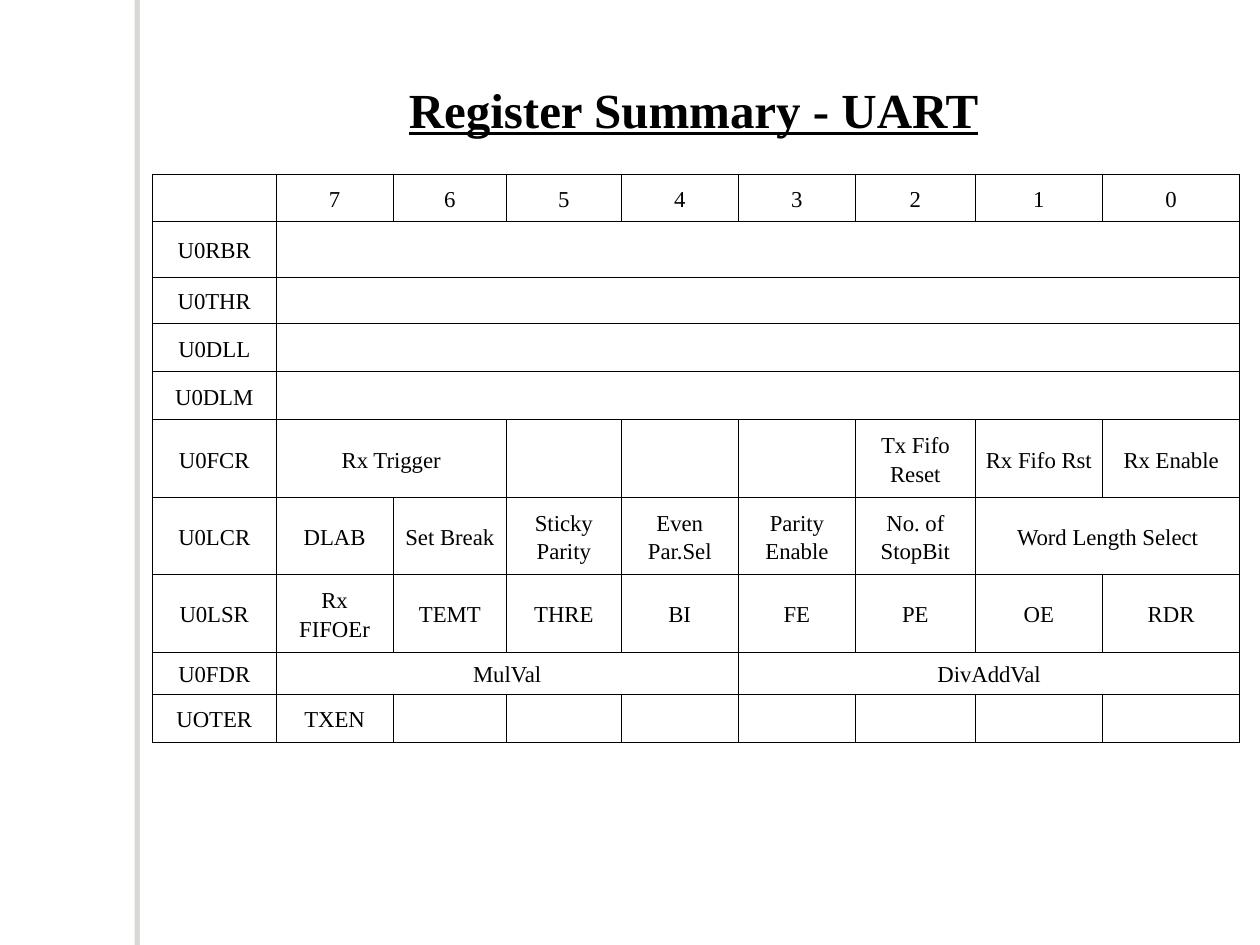
from dataclasses import dataclass

from lxml import etree
from pptx import Presentation
from pptx.dml.color import RGBColor as RGB
from pptx.enum.shapes import MSO_SHAPE as Shape
from pptx.enum.text import MSO_ANCHOR as Anchor, MSO_AUTO_SIZE as AutoSize, PP_ALIGN as Align
from pptx.oxml import parse_xml
from pptx.oxml.ns import nsdecls, qn
from pptx.util import Inches, Pt


@dataclass(frozen=True)
class Theme:
    font: str = "Times New Roman"
    ink: str = "000000"
    paper: str = "FFFFFF"
    shadow: str = "706B5F"
    title_size: float = 28
    cell_size: float = 13
    border: float = 0.45


THEME = Theme()
COLUMNS = [0.98, 0.93, 0.9, 0.91, 0.93, 0.93, 0.95, 1.01, 1.09]

# Each row: height, register name, then (text, bits covered) from bit 7 down
REGISTERS = [
    (0.38, "", [(str(bit), 1) for bit in range(7, -1, -1)]),
    (0.44, "U0RBR", [("", 8)]),
    (0.37, "U0THR", [("", 8)]),
    (0.38, "U0DLL", [("", 8)]),
    (0.38, "U0DLM", [("", 8)]),
    (0.62, "U0FCR", [("Rx Trigger", 2), ("", 1), ("", 1), ("", 1),
                     ("Tx Fifo Reset", 1), ("Rx Fifo Rst", 1), ("Rx Enable", 1)]),
    (0.61, "U0LCR", [("DLAB", 1), ("Set Break", 1), ("Sticky Parity", 1),
                     ("Even Par.Sel", 1), ("Parity Enable", 1),
                     ("No. of StopBit", 1), ("Word Length Select", 2)]),
    (0.62, "U0LSR", [("Rx FIFOEr", 1)] + [
        (flag, 1) for flag in ("TEMT", "THRE", "BI", "FE", "PE", "OE", "RDR")]),
    (0.33, "U0FDR", [("MulVal", 4), ("DivAddVal", 4)]),
    (0.38, "UOTER", [("TXEN", 1)] + [("", 1)] * 7),
]


def write(tf, text, size, bold=False, underline=False, spacing=None):
    p = tf.paragraphs[0]
    p.alignment = Align.CENTER
    p.line_spacing = spacing
    r = p.add_run()
    r.text = text
    r.font.name = THEME.font
    r.font.size = Pt(size)
    r.font.bold = bold
    r.font.underline = underline
    r.font.color.rgb = RGB.from_string(THEME.ink)


def add_side_bar(slide):
    sp = slide.shapes.add_shape(Shape.RECTANGLE, Inches(1.11), 0, Inches(0.08), Inches(7.5))
    sp.fill.solid()
    sp.fill.fore_color.rgb = RGB.from_string(THEME.paper)
    sp.line.fill.background()
    # Soft shadow cast to the left
    sp.shadow.inherit = False
    effects = sp._element.spPr.find(qn("a:effectLst"))
    effects.append(parse_xml(
        f'<a:outerShdw {nsdecls("a")} blurRad="0" dist="{Pt(3)}" dir="10800000">'
        f'<a:srgbClr val="{THEME.shadow}"><a:alpha val="25000"/></a:srgbClr>'
        '</a:outerShdw>'))


def add_title(slide, text):
    box = slide.shapes.add_textbox(Inches(1.92), Inches(0.58), Inches(7.17), Inches(0.57))
    tf = box.text_frame
    tf.word_wrap = True
    tf.auto_size = AutoSize.SHAPE_TO_FIT_TEXT
    write(tf, text, THEME.title_size, bold=True, underline=True)


def format_cell(cell):
    cell.vertical_anchor = Anchor.MIDDLE
    cell.margin_left = cell.margin_right = Inches(0.08)
    cell.margin_top = cell.margin_bottom = 0
    cell.fill.background()
    # Borders come before the fill in the cell properties
    props = cell._tc.get_or_add_tcPr()
    for i, side in enumerate("LRTB"):
        line = etree.Element(qn(f"a:ln{side}"), w=str(Pt(THEME.border)))
        fill = etree.SubElement(line, qn("a:solidFill"))
        etree.SubElement(fill, qn("a:srgbClr"), val=THEME.ink)
        props.insert(i, line)


def fill_cell(cell, text):
    if text:
        cell.margin_top = cell.margin_bottom = Inches(0.05)
        write(cell.text_frame, text, THEME.cell_size, spacing=1.15)


def add_register_table(slide):
    heights = [height for height, _, _ in REGISTERS]
    frame = slide.shapes.add_table(
        len(heights), len(COLUMNS), Inches(1.21), Inches(1.38),
        Inches(sum(COLUMNS)), Inches(sum(heights)))
    table = frame.table
    table.first_row = table.horz_banding = False
    for column, width in zip(table.columns, COLUMNS):
        column.width = Inches(width)
    for cell in table.iter_cells():
        format_cell(cell)

    for row, (height, name, fields) in enumerate(REGISTERS):
        table.rows[row].height = Inches(height)
        col = 0
        for text, span in [(name, 1)] + fields:
            cell = table.cell(row, col)
            if span > 1:
                cell.merge(table.cell(row, col + span - 1))
            fill_cell(cell, text)
            col += span


def main():
    prs = Presentation()
    prs.slide_width, prs.slide_height = Inches(10), Inches(7.5)
    s = prs.slides.add_slide(prs.slide_layouts[6])
    add_side_bar(s)
    add_register_table(s)
    add_title(s, "Register Summary - UART")
    prs.save("out.pptx")


main()
